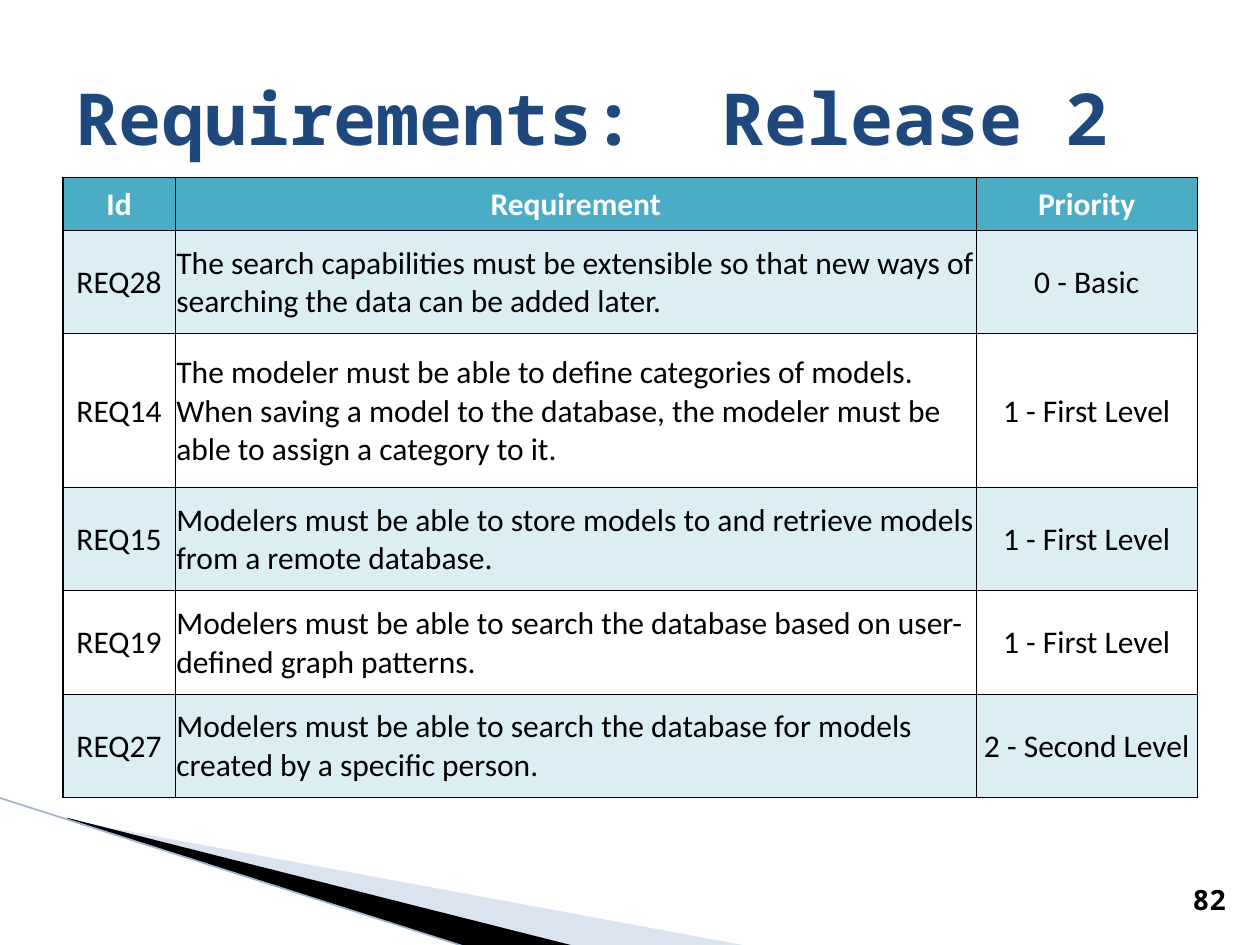
from lxml import etree
from pptx import Presentation
from pptx import util as u
from pptx.dml.color import RGBColor
from pptx.enum import shapes, text
from pptx.oxml import ns

HUES = {"title": "1F497D", "head": "4BACC6", "band": "DBEEF3", "ink": "000000",
        "white": "FFFFFF", "wedge": "A7B9DB", "edge": "9EB3D6"}
MONO, SANS = "Noto Sans Mono", "Calibri"
MID, LOW = text.MSO_ANCHOR.MIDDLE, text.MSO_ANCHOR.BOTTOM
LEFT, MIDST, RIGHT = text.PP_ALIGN.LEFT, text.PP_ALIGN.CENTER, text.PP_ALIGN.RIGHT
COLS = [0.89, 6.36, 1.75]
TALL = [0.42, 0.82, 1.22, 0.82, 0.82, 0.82]
ROWS = [
    ("Id", "Requirement", "Priority"),
    ("REQ28", "The search capabilities must be extensible so that new ways of "
     "searching the data can be added later.", "0 - Basic"),
    ("REQ14", "The modeler must be able to define categories of models.  "
     "When saving a model to the database, the modeler must be able to assign "
     "a category to it.", "1 - First Level"),
    ("REQ15", "Modelers must be able to store models to and retrieve models "
     "from a remote database.", "1 - First Level"),
    ("REQ19", "Modelers must be able to search the database based on "
     "user-defined graph patterns.", "1 - First Level"),
    ("REQ27", "Modelers must be able to search the database for models "
     "created by a specific person.", "2 - Second Level"),
]


def rgb(name):
    """Return the named colour."""
    return RGBColor.from_string(HUES[name])


def apply(item, **vals):
    """Set each given attribute on an object."""
    for key, val in vals.items():
        setattr(item, key, val)


def place(shape, box):
    """Move and size a shape to a box in inches."""
    sides = ("left", "top", "width", "height")
    apply(shape, **dict(zip(sides, map(u.Inches, box))))


def write(frame, words, align, hue, **font):
    """Fill a text frame with one formatted paragraph."""
    para = frame.paragraphs[0]
    para.alignment = align
    run = para.add_run()
    run.text = words
    apply(run.font, **font)
    run.font.color.rgb = rgb(hue)


def add(root, tag, **attrs):
    """Append a drawing element with attributes."""
    return etree.SubElement(root, ns.qn("a:" + tag), attrs)


def reframe(shape, box):
    """Give an outline a new frame while its points stay in place."""
    left, top = shape.left, shape.top
    place(shape, box)
    for track in shape._element.iter(ns.qn("a:path")):
        track.set("w", str(shape.width))
        track.set("h", str(shape.height))
        for pt in track.iter(ns.qn("a:pt")):
            pt.set("x", str(int(pt.get("x")) + left - shape.left))
            pt.set("y", str(int(pt.get("y")) + top - shape.top))


def wedge(slide, box, pts, hue, alpha=100):
    """Draw a filled outline through points in inches."""
    pts = [tuple(map(u.Inches, pt)) for pt in pts]
    pen = slide.shapes.build_freeform(*pts[0], scale=1.0)
    pen.add_line_segments(pts[1:], close=True)
    shape = pen.convert_to_shape()
    reframe(shape, box)
    shape.shadow.inherit = False
    shape.line.fill.background()
    shape.fill.solid()
    shape.fill.fore_color.rgb = rgb(hue)
    if alpha < 100:
        tint = shape.fill._xPr.find(".//" + ns.qn("a:srgbClr"))
        add(tint, "alpha", val=str(alpha * 1000))


def decor(slide, box):
    """Draw the corner wedges and their edge line."""
    left, top, wide, high = box
    wedge(slide, (left + 0.79, top - 0.86, 4.16, 1.58),
          [(0.55, 6.51), (5.95, 7.51), (4.56, 7.51), (0.55, 6.5)], "wedge", 40)
    wedge(slide, (left - 0.05, top, 4.16, 0.92),
          [(0.53, 6.49), (4.57, 7.51), (3.72, 7.52), (0.54, 6.5)], "ink")
    ends = map(u.Inches, (left, top, left + wide, top + high))
    edge = slide.shapes.add_connector(shapes.MSO_CONNECTOR.STRAIGHT, *ends)
    edge.line.color.rgb = rgb("edge")
    edge.line.width = u.Pt(0.95)
    add(edge._element.spPr, "effectLst")


def title(slide, box):
    """Place and format the title."""
    shape = slide.shapes.title
    place(shape, box)
    apply(shape.text_frame, vertical_anchor=MID, word_wrap=True)
    write(shape.text_frame, "Requirements:  Release 2", LEFT, "title",
          size=u.Pt(41), name=MONO, bold=True)


def number(slide, box):
    """Place the slide number."""
    frame = slide.shapes.add_textbox(*map(u.Inches, box)).text_frame
    apply(frame, word_wrap=True, vertical_anchor=LOW)
    write(frame, "82", RIGHT, "ink", size=u.Pt(16), name=MONO, bold=True)


def border(cell, sides):
    """Draw the cell borders, given widths in points by side."""
    props = cell._tc.get_or_add_tcPr()
    for side, width in sides.items():
        line = add(props, "ln" + side, w=str(u.Pt(width)))
        add(add(line, "solidFill"), "srgbClr", val=HUES["ink"])


def grid(slide, box):
    """Build the requirements table."""
    table = slide.shapes.add_table(len(ROWS), len(COLS), *map(u.Inches, box)).table
    pad = u.Pt(0.75)
    for col, wide in zip(table.columns, COLS):
        col.width = u.Inches(wide)
    for r, (words, high) in enumerate(zip(ROWS, TALL)):
        table.rows[r].height = u.Inches(high)
        for c, word in enumerate(words):
            cell = table.cell(r, c)
            apply(cell, vertical_anchor=MID, margin_left=pad, margin_top=pad,
                  margin_right=pad, margin_bottom=0)
            border(cell, {"L": 0.5 if c else 1, "R": 0.5,
                          "T": 0.5 if r else 1, "B": 0.5})
            if r and r % 2 == 0:
                cell.fill.background()
            else:
                cell.fill.solid()
                cell.fill.fore_color.rgb = rgb("band" if r else "head")
            write(cell.text_frame, word, LEFT if r and c == 1 else MIDST,
                  "ink" if r else "white", size=u.Pt(18), name=SANS, bold=r == 0)


def main():
    """Build and save the slide."""
    deck = Presentation()
    apply(deck, slide_width=u.Inches(10), slide_height=u.Inches(7.5))
    slide = deck.slides.add_slide(deck.slide_layouts.get_by_name("Title Only"))
    decor(slide, (-0.01, 6.33, 3.72, 1.19))
    number(slide, (9.31, 6.83, 0.52, 0.49))
    title(slide, (0.5, 0.3, 9, 1.25))
    grid(slide, (0.5, 1.41, sum(COLS), sum(TALL)))
    deck.save("out.pptx")


if __name__ == "__main__":
    main()
